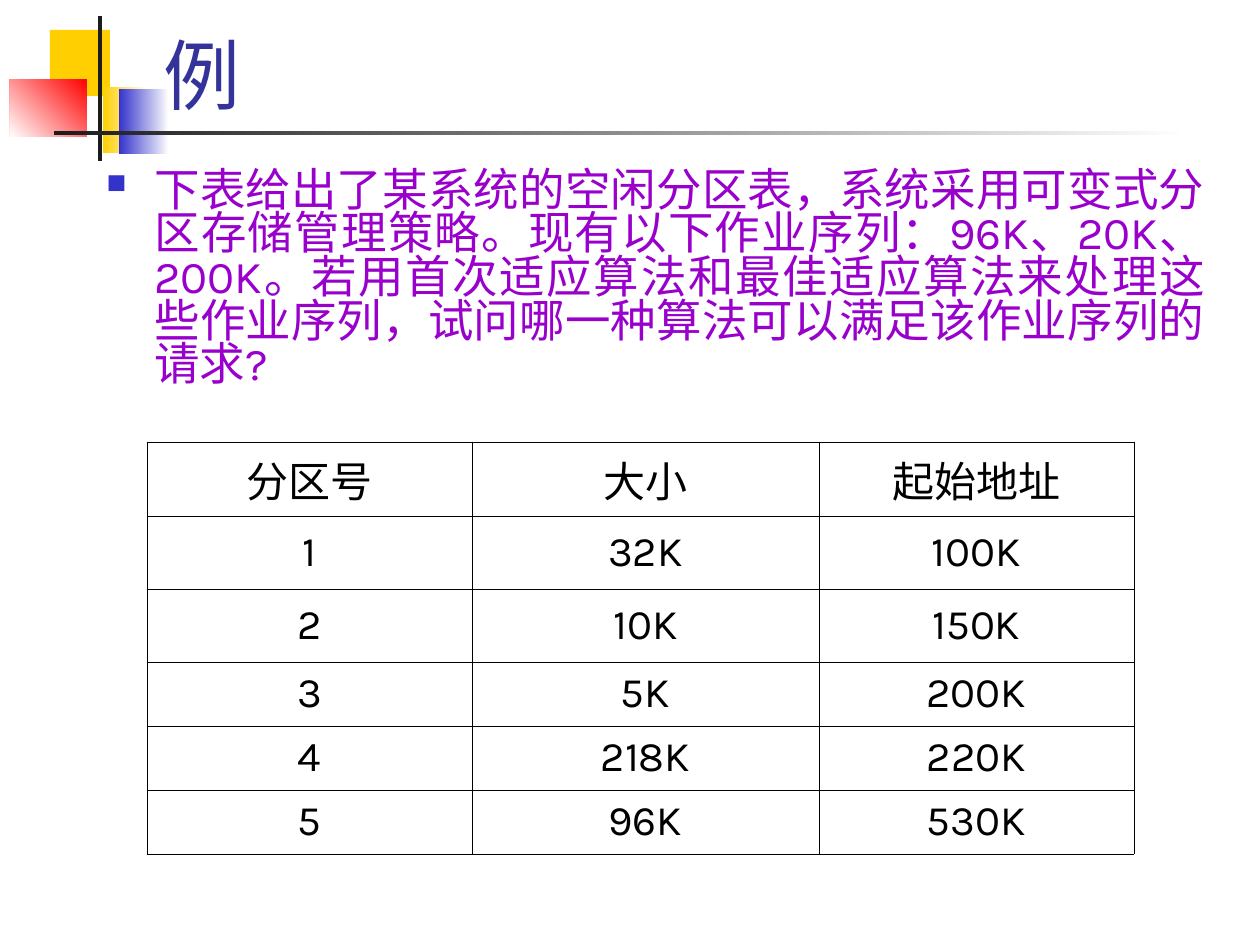
"""Builds a slide that poses a free-partition allocation exercise with its table."""
from lxml import etree
from pptx import Presentation
from pptx.dml.color import RGBColor
from pptx.enum.shapes import MSO_SHAPE
from pptx.enum.text import MSO_ANCHOR, PP_ALIGN
from pptx.oxml.ns import qn
from pptx.util import Emu, Pt

RECTANGLE = MSO_SHAPE.RECTANGLE
BOTTOM, MIDDLE, TOP = MSO_ANCHOR.BOTTOM, MSO_ANCHOR.MIDDLE, MSO_ANCHOR.TOP
LEFT, CENTER, JUSTIFY = PP_ALIGN.LEFT, PP_ALIGN.CENTER, PP_ALIGN.JUSTIFY
PX = 914400 / 126
LATIN, CHINESE = "Karla", "Times New Roman"


def color(value):
    return RGBColor.from_string(value)


def write(frame, spans, size, ink, align=LEFT, anchor=TOP, before=0, spacing=1.0):
    frame.word_wrap = True
    frame.vertical_anchor = anchor
    para = frame.paragraphs[0]
    para.alignment = align
    para.line_spacing = spacing
    para.space_before = Pt(before)
    for text, font in spans:
        span = para.add_run()
        span.text = text
        span.font.name = font
        span.font.size = Pt(size)
        span.font.color.rgb = color(ink)
    return para


deck = Presentation()
deck.slide_width, deck.slide_height = Emu(round(1260 * PX)), Emu(round(945 * PX))
page = deck.slides.add_slide(deck.slide_layouts[6])

ornaments = [
    ((50, 30, 60, 66), ["FFCF01"], 0),
    ((103, 87, 45, 66), ["FFFFFF", "FFCF01"], 180),
    ((119, 89, 50, 65), ["FFFFFF", "3333CC"], 180),
    ((10, 79, 77, 58), ["FF0000", "FFFFFF"], 225),
    ((98, 16, 4, 145), ["1C1C1C"], 0),
    ((54, 131, 1134, 4), ["FFFFFF", "1C1C1C"], 180),
]
for place, colors, angle in ornaments:
    shape = page.shapes.add_shape(RECTANGLE, *[Emu(round(n * PX)) for n in place])
    shape.shadow.inherit = False
    shape.line.fill.background()
    if len(colors) == 1:
        shape.fill.solid()
        shape.fill.fore_color.rgb = color(colors[0])
    else:
        shape.fill.gradient()
        shape.fill.gradient_angle = angle
        for stop, value in zip(shape.fill.gradient_stops, colors):
            stop.color.rgb = color(value)

title = page.shapes.add_textbox(*[Emu(round(n * PX)) for n in (151, 21, 1074, 105)])
write(title.text_frame, [("例", LATIN)], 44, "333399", anchor=BOTTOM)

question = [
    ("下表给出了某系统的空闲分区表，系统采用可变式分区存储管理策略。现有以下作业序列：", CHINESE),
    ("96K", LATIN),
    ("、", CHINESE),
    ("20K", LATIN),
    ("、", CHINESE),
    ("200K", LATIN),
    ("。若用首次适应算法和最佳适应算法来处理这些作业序列，试问哪一种算法可以满足该作业序列的请求", CHINESE),
    ("?", LATIN),
]
body = page.shapes.add_textbox(*[Emu(round(n * PX)) for n in (94, 165, 1124, 252)])
para = write(body.text_frame, question, 26, "9900CC", align=JUSTIFY, spacing=0.8)
properties = para._p.get_or_add_pPr()
properties.set("marL", str(round(48 * PX)))
properties.set("indent", str(round(-48 * PX)))
bullet_color = etree.SubElement(properties, qn("a:buClr"))
etree.SubElement(bullet_color, qn("a:srgbClr"), val="3333CC")
etree.SubElement(properties, qn("a:buSzPct"), val="60000")
etree.SubElement(properties, qn("a:buChar"), char="■")

partitions = [
    ("分区号", "大小", "起始地址"),
    ("1", "32K", "100K"),
    ("2", "10K", "150K"),
    ("3", "5K", "200K"),
    ("4", "218K", "220K"),
    ("5", "96K", "530K"),
]
widths = [325, 347, 315]
heights = [74, 73, 73, 64, 64, 64]
place = (147, 442, sum(widths), sum(heights))
table = page.shapes.add_table(
    len(heights), len(widths), *[Emu(round(n * PX)) for n in place]
).table
table.first_row = table.horz_banding = False
for column, width in zip(table.columns, widths):
    column.width = Emu(round(width * PX))
for row, height, values in zip(table.rows, heights, partitions):
    row.height = Emu(round(height * PX))
    for cell, value in zip(row.cells, values):
        font = CHINESE if value == "分区号" else LATIN
        write(cell.text_frame, [(value, font)], 24, "000000", align=CENTER, before=6)
        cell.vertical_anchor = MIDDLE
        borders = cell._tc.get_or_add_tcPr()
        for side in ("a:lnL", "a:lnR", "a:lnT", "a:lnB"):
            line = etree.SubElement(borders, qn(side), w=str(Pt(0.45)))
            fill = etree.SubElement(line, qn("a:solidFill"))
            etree.SubElement(fill, qn("a:srgbClr"), val="000000")
        cell.fill.background()

deck.save("out.pptx")
